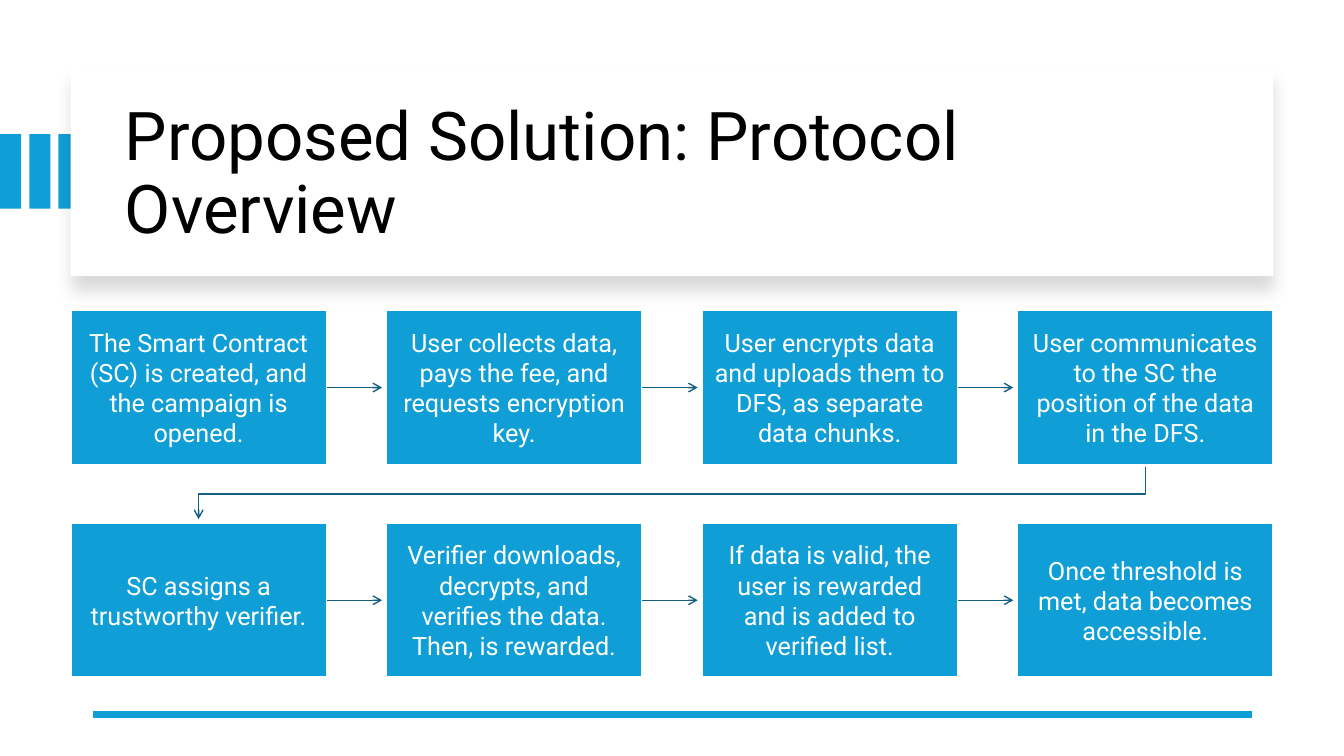
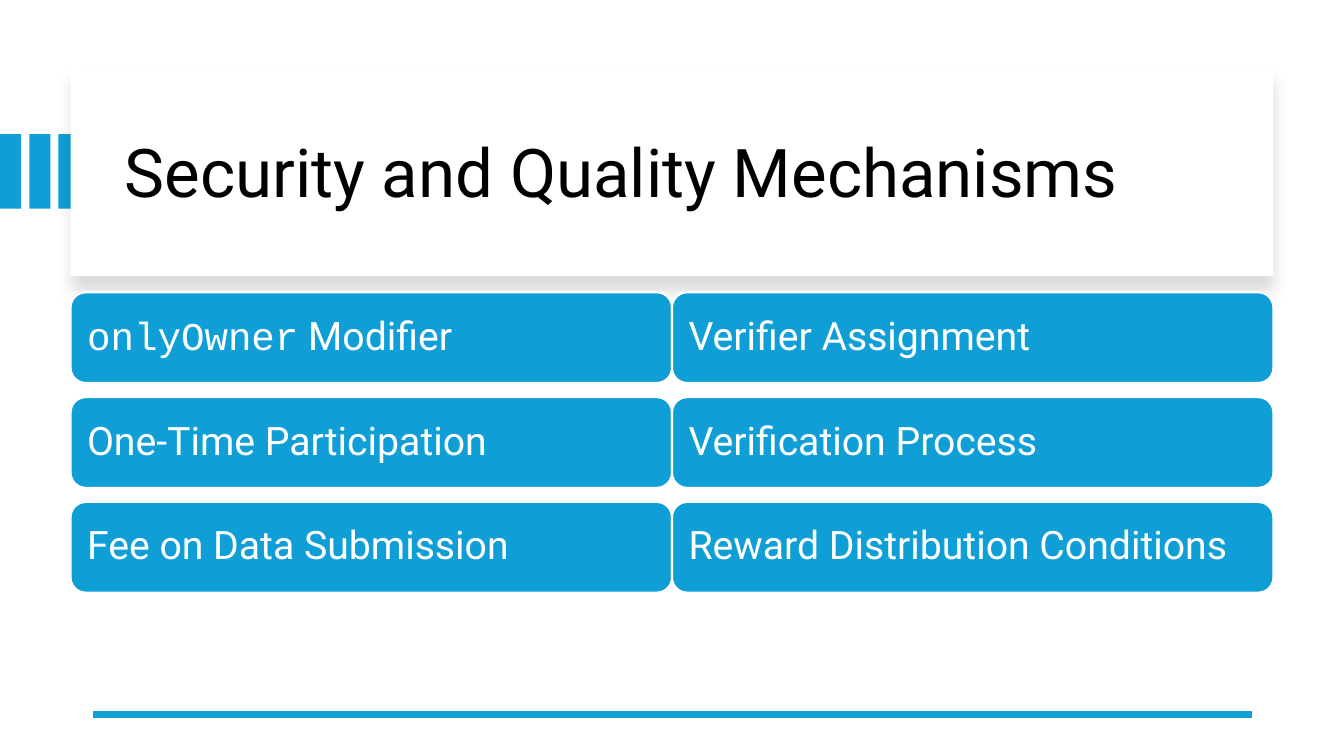
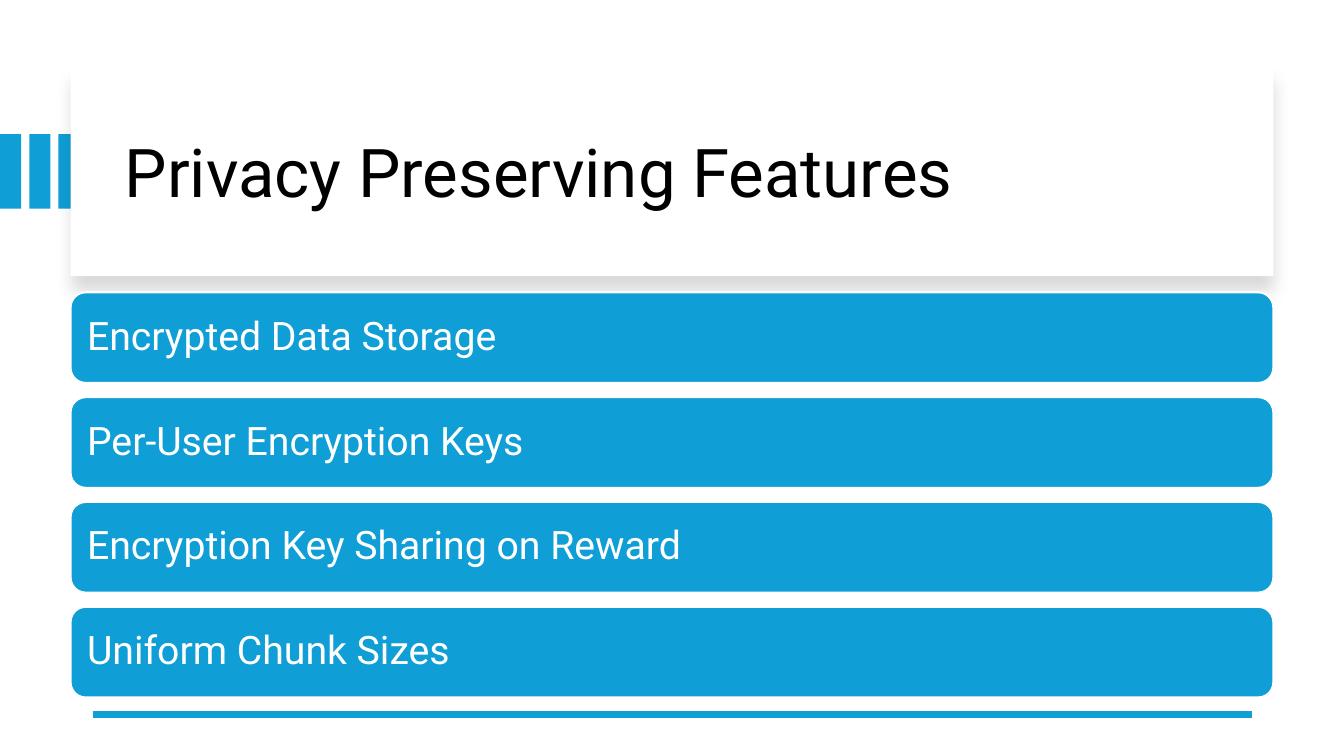
import dataclasses

import lxml.etree
import pptx
import pptx.dml.color
import pptx.enum.shapes
import pptx.enum.text
import pptx.oxml.ns
import pptx.util

Inches = pptx.util.Inches
Pt = pptx.util.Pt
qn = pptx.oxml.ns.qn
PRESET = pptx.enum.shapes.MSO_SHAPE
ALIGN = pptx.enum.text.PP_ALIGN
MIDDLE = pptx.enum.text.MSO_ANCHOR.MIDDLE


def rgb(value):
    return pptx.dml.color.RGBColor.from_string(value)


@dataclasses.dataclass(frozen=True)
class Theme:
    blue = rgb("0F9ED5")
    arrow = rgb("156082")
    white = rgb("FFFFFF")
    black = rgb("000000")
    font = "Roboto"
    code_font = "Courier New"
    title_size = Pt(48)
    feature_size = Pt(28)
    step_size = Pt(18)


theme = Theme()

# Grid, in inches
SLIDE_W, SLIDE_H = 13.33, 7.5
LEFT, CONTENT_W = 0.7, 11.93
STEP_COLUMNS, STEP_W, STEP_H = 4, 2.54, 1.53
STEP_PITCH = (CONTENT_W - STEP_W) / (STEP_COLUMNS - 1)
STEP_TOP, STEP_ROW_PITCH = 3.08, 2.11
ARROW_GAP = 0.04
FEATURE_TOP, FEATURE_H, FEATURE_PITCH = 2.9, 0.9, 1.04


def add_block(slide, preset, box, fill, outline=None):
    """Add a filled shape without shadow; box is left, top, width, height."""
    block = slide.shapes.add_shape(preset, *[Inches(length) for length in box])
    block.shadow.inherit = False
    block.fill.solid()
    block.fill.fore_color.rgb = fill
    if outline is None:
        block.line.fill.background()
    else:
        block.line.color.rgb = outline
        block.line.width = Pt(1.5)
    return block


def style_arrow(arrow):
    """Give a connector or open path its thin line and arrowhead."""
    arrow.line.color.rgb = theme.arrow
    arrow.line.width = Pt(1)
    lxml.etree.SubElement(arrow.line._get_or_add_ln(), qn("a:tailEnd"), type="arrow")
    lxml.etree.SubElement(arrow._element.spPr, qn("a:effectLst"))


steps = [
    "The Smart Contract (SC) is created, and the campaign is opened.",
    "User collects data, pays the fee, and requests encryption key.",
    "User encrypts data and uploads them to DFS, as separate data chunks.",
    "User communicates to the SC the position of the data in the DFS.",
    "SC assigns a trustworthy verifier.",
    "Verifier downloads, decrypts, and verifies the data. Then, is rewarded.",
    "If data is valid, the user is rewarded and is added to verified list.",
    "Once threshold is met, data becomes accessible.",
]

# Each feature is a list of (text, font) runs; features are grouped by column
feature_columns = {
    "Security and Quality Mechanisms": [
        [
            [("onlyOwner", theme.code_font), (" Modifier", theme.font)],
            [("One-Time Participation", theme.font)],
            [("Fee on Data Submission", theme.font)],
        ],
        [
            [("Verifier Assignment", theme.font)],
            [("Verification Process", theme.font)],
            [("Reward Distribution Conditions", theme.font)],
        ],
    ],
    "Privacy Preserving Features": [
        [
            [("Encrypted Data Storage", theme.font)],
            [("Per-User Encryption Keys", theme.font)],
            [("Encryption Key Sharing on Reward", theme.font)],
            [("Uniform Chunk Sizes", theme.font)],
        ],
    ],
}

deck = pptx.Presentation()
deck.slide_width, deck.slide_height = Inches(SLIDE_W), Inches(SLIDE_H)

# Shared frame: side bars, title panel, title and footer rule
slides = []
for title in ["Proposed Solution: Protocol Overview", *feature_columns]:
    slide = deck.slides.add_slide(deck.slide_layouts[6])
    slides.append(slide)
    for bar in range(3):
        add_block(slide, PRESET.RECTANGLE, (bar * 0.29, 1.33, 0.21, 0.74), theme.blue)

    panel = add_block(slide, PRESET.RECTANGLE, (LEFT, 0.67, CONTENT_W, 2.07), theme.white)
    panel_shadow = lxml.etree.SubElement(
        panel._element.spPr.find(qn("a:effectLst")), qn("a:outerShdw"),
        blurRad=str(Pt(11)), dist=str(Pt(10)), dir="5400000", algn="t", rotWithShape="0")
    shadow_color = lxml.etree.SubElement(panel_shadow, qn("a:srgbClr"), val=str(theme.black))
    lxml.etree.SubElement(shadow_color, qn("a:alpha"), val="15000")

    heading = slide.shapes.add_textbox(
        Inches(1.14), Inches(0.89), Inches(10.87), Inches(1.7)).text_frame
    heading.word_wrap = True
    heading.vertical_anchor = MIDDLE
    heading.text = title
    heading.paragraphs[0].line_spacing = 0.9
    heading_font = heading.paragraphs[0].runs[0].font
    heading_font.name, heading_font.size = theme.font, theme.title_size
    heading_font.color.rgb = theme.black

    footer_rule = slide.shapes.add_connector(
        pptx.enum.shapes.MSO_CONNECTOR.STRAIGHT,
        Inches(0.92), Inches(7.09), Inches(12.42), Inches(7.09))
    footer_rule.line.color.rgb = theme.blue
    footer_rule.line.width = Pt(4.5)
    lxml.etree.SubElement(footer_rule._element.spPr, qn("a:effectLst"))

# Protocol steps
overview = slides[0]
step_boxes = []
for index, text in enumerate(steps):
    row, column = divmod(index, STEP_COLUMNS)
    step = add_block(
        overview, PRESET.RECTANGLE,
        (LEFT + column * STEP_PITCH, STEP_TOP + row * STEP_ROW_PITCH, STEP_W, STEP_H),
        theme.blue, theme.white)
    step_boxes.append(step)
    frame = step.text_frame
    frame.word_wrap = True
    frame.vertical_anchor = MIDDLE
    frame.margin_left = frame.margin_right = Inches(0.12)
    frame.margin_top = frame.margin_bottom = Inches(0.13)
    frame.text = text
    frame.paragraphs[0].alignment = ALIGN.CENTER
    step_font = frame.paragraphs[0].runs[0].font
    step_font.name, step_font.size = theme.font, theme.step_size
    step_font.color.rgb = theme.white

# Arrows along each row, stopping just short of the next step
for index, (step, following) in enumerate(zip(step_boxes, step_boxes[1:]), start=1):
    if index % STEP_COLUMNS == 0:
        continue
    middle = step.top + step.height // 2
    arrow = overview.shapes.add_connector(
        pptx.enum.shapes.MSO_CONNECTOR.STRAIGHT,
        step.left + step.width, middle, following.left - Inches(ARROW_GAP), middle)
    arrow.begin_connect(step, 3)
    style_arrow(arrow)

# Return arrow from the end of the first row to the start of the second
row_end, row_start = step_boxes[STEP_COLUMNS - 1], step_boxes[STEP_COLUMNS]
end_x = row_end.left + row_end.width // 2
start_x = row_start.left + row_start.width // 2
bottom = row_end.top + row_end.height
turn_y = (bottom + row_start.top) // 2
return_path = overview.shapes.build_freeform(end_x, bottom + Inches(0.02))
return_path.add_line_segments(
    [(end_x, turn_y), (start_x, turn_y), (start_x, row_start.top - Inches(ARROW_GAP))],
    close=False)
return_arrow = return_path.convert_to_shape()
return_arrow.fill.background()
style_arrow(return_arrow)

# Feature lists
for slide, columns in zip(slides[1:], feature_columns.values()):
    feature_w = CONTENT_W / len(columns)
    for column, features in enumerate(columns):
        for row, runs in enumerate(features):
            feature = add_block(
                slide, PRESET.ROUNDED_RECTANGLE,
                (LEFT + column * feature_w, FEATURE_TOP + row * FEATURE_PITCH,
                 feature_w, FEATURE_H),
                theme.blue, theme.white)
            frame = feature.text_frame
            frame.word_wrap = True
            frame.vertical_anchor = MIDDLE
            frame.margin_left = frame.margin_right = Inches(0.12)
            frame.margin_top = frame.margin_bottom = Inches(0.12)
            label = frame.paragraphs[0]
            label.alignment = ALIGN.LEFT
            label.line_spacing = 0.9
            for text, font_name in runs:
                run = label.add_run()
                run.text = text
                run.font.name, run.font.size = font_name, theme.feature_size
                run.font.color.rgb = theme.white

deck.save("out.pptx")
